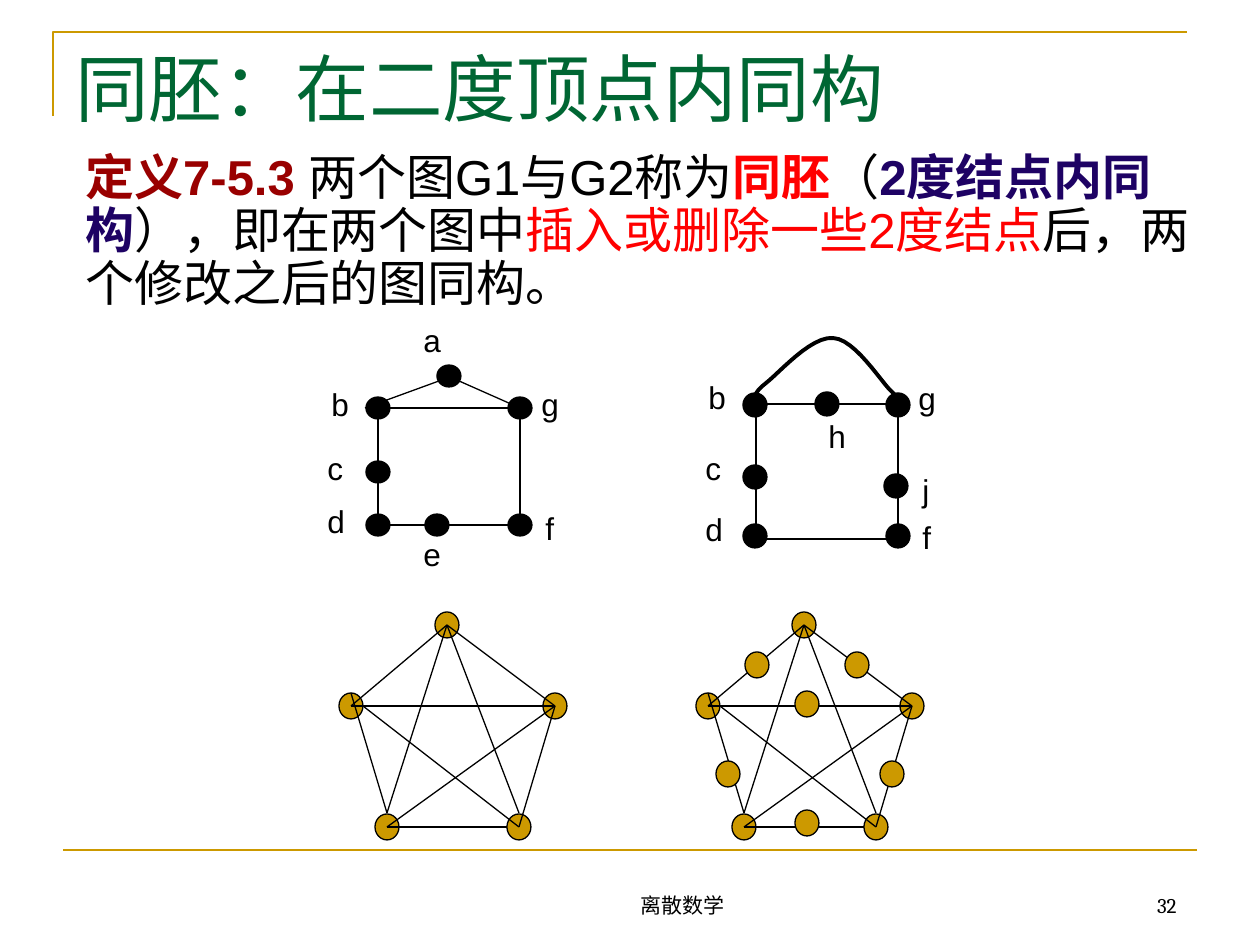
from lxml.etree import SubElement
from pptx import Presentation
from pptx.dml.color import RGBColor
from pptx.enum.lang import MSO_LANGUAGE_ID as Language
from pptx.enum.shapes import MSO_CONNECTOR as Connector, MSO_SHAPE as Shape
from pptx.enum.text import MSO_ANCHOR as Anchor, PP_ALIGN as Align
from pptx.oxml.ns import qn
from pptx.util import Emu, Pt

PX = 914400 / 126
GOLD = RGBColor(0xCC, 0x99, 0x00)
GREEN = RGBColor(0x00, 0x66, 0x33)
MAROON = RGBColor(0x99, 0x00, 0x00)
RED = RGBColor(0xFF, 0x00, 0x00)
NAVY = RGBColor(0x1E, 0x02, 0x64)
BLACK = RGBColor(0x00, 0x00, 0x00)

DEFINITION = [
    ("定义7-5.3 ", MAROON, True),
    ("两个图G1与G2称为", BLACK, False),
    ("同胚", RED, True),
    ("（", BLACK, False),
    ("2度结点内同构", NAVY, True),
    ("），即在两个图中", BLACK, False),
    ("插入或删除一些2度结点", RED, False),
    ("后，两个修改之后的图同构。", BLACK, False),
]

HOUSE_NODES = [(449, 376), (378, 408), (378, 472), (378, 525),
               (437, 525), (520, 525), (520, 408)]
HOUSE_EDGES = [(450, 377, 365, 408), (520, 525, 520, 408), (378, 408, 378, 525),
               (378, 525, 520, 525), (450, 377, 520, 408), (378, 408, 509, 408)]
HOUSE_LABELS = {"a": (411, 315), "b": (319, 379), "c": (315, 443), "d": (315, 496),
                "e": (411, 529), "f": (533, 503), "g": (529, 379)}

ARCH_NODES = [(755, 405), (755, 477), (755, 536), (898, 536),
              (898, 405), (827, 404), (896, 486)]
ARCH_EDGES = [(898, 536, 898, 404), (756, 404, 756, 536),
              (757, 539, 900, 539), (756, 404, 886, 404)]
ARCH_LABELS = {"b": (696, 372), "c": (693, 443), "d": (693, 504), "f": (910, 512),
               "g": (906, 373), "h": (816, 411), "j": (910, 465)}
ARCH_CURVE = [(757, 402), (755, 398), (752, 394), (766, 383), (779, 373),
              (811, 336), (833, 338), (855, 339), (881, 382), (892, 392),
              (903, 403), (902, 402), (901, 402)]

STAR_NODES = [(447, 625), (351, 706), (555, 706), (387, 827), (519, 827)]
STAR_EDGES = [(447, 625, 351, 706), (447, 625, 555, 706), (351, 693, 387, 813),
              (555, 706, 519, 827), (387, 827, 507, 827), (351, 706, 555, 706),
              (447, 625, 387, 813), (447, 625, 519, 813), (363, 706, 519, 827),
              (555, 706, 387, 827)]
STAR_SHIFT = 357
INSERTED_NODES = [(757, 665), (857, 665), (807, 704), (728, 774), (807, 823), (892, 774)]


def px(value):
    return Emu(round(value * PX))


def add_text(shapes, bounds, spans, size, font, anchor=Anchor.TOP, align=Align.LEFT):
    box = shapes.add_textbox(*map(px, bounds))
    frame = box.text_frame
    frame.word_wrap = True
    frame.vertical_anchor = anchor
    para = frame.paragraphs[0]
    para.alignment = align
    for text, color, bold in spans:
        span = para.add_run()
        span.text = text
        span.font.size = Pt(size)
        span.font.name = font
        span.font.bold = bold
        span.font.color.rgb = color
        span.font.language_id = Language.SIMPLIFIED_CHINESE
    return para


def add_line(shapes, ends, color=BLACK, width=0.75):
    line = shapes.add_connector(Connector.STRAIGHT, *map(px, ends))
    line.line.color.rgb = color
    line.line.width = Pt(width)
    SubElement(line._element.spPr, qn("a:effectLst"))


def add_outline(shapes, points, color, width):
    points = [(px(x), px(y)) for x, y in points]
    builder = shapes.build_freeform(*points[0])
    builder.add_line_segments(points[1:], close=False)
    outline = builder.convert_to_shape()
    outline.shadow.inherit = False
    outline.fill.background()
    outline.line.color.rgb = color
    outline.line.width = Pt(width)


def add_nodes(shapes, centers, height, color):
    for x, y in centers:
        node = shapes.add_shape(Shape.OVAL, px(x - 12), px(y - height / 2), px(24), px(height))
        node.shadow.inherit = False
        node.fill.solid()
        node.fill.fore_color.rgb = color
        node.line.color.rgb = BLACK
        node.line.width = Pt(0.75)


def add_graph(page, nodes, edges, labels, height, color):
    shapes = page.shapes.add_group_shape().shapes
    add_nodes(shapes, nodes, height, color)
    for name, (x, y) in labels.items():
        add_text(shapes, (x, y, 50, 50), [(name, BLACK, False)], 18, "Arial")
    for ends in edges:
        add_line(shapes, ends)
    return shapes


def curve_points(controls, steps=12):
    points = [controls[0]]
    for start in range(0, len(controls) - 1, 3):
        piece = controls[start:start + 4]
        for step in range(1, steps + 1):
            t = step / steps
            weights = ((1 - t) ** 3, 3 * t * (1 - t) ** 2, 3 * t ** 2 * (1 - t), t ** 3)
            points.append(tuple(sum(w * point[axis] for w, point in zip(weights, piece))
                                for axis in (0, 1)))
    return points


def main():
    deck = Presentation()
    deck.slide_width, deck.slide_height = px(1260), px(945)
    page = deck.slides.add_slide(deck.slide_layouts[6])
    shapes = page.shapes

    add_outline(shapes, [(53, 116), (53, 32), (1187, 32)], GOLD, 1.5)
    add_line(shapes, (63, 850, 1197, 850), GOLD, 1.5)
    add_text(shapes, (63, 38, 1134, 98), [("同胚：在二度顶点内同构", GREEN, False)],
             42, "Cambria", Anchor.MIDDLE)
    body = add_text(shapes, (73, 147, 1144, 159), DEFINITION, 28, "Arial")
    body.line_spacing = 0.9

    add_graph(page, HOUSE_NODES, HOUSE_EDGES, HOUSE_LABELS, 22, BLACK)
    arch = add_graph(page, ARCH_NODES, ARCH_EDGES, ARCH_LABELS, 24, BLACK)
    add_outline(arch, curve_points(ARCH_CURVE), BLACK, 2.25)

    add_graph(page, STAR_NODES, STAR_EDGES, {}, 26, GOLD)
    shifted_nodes = [(x + STAR_SHIFT, y) for x, y in STAR_NODES]
    shifted_edges = [(x1 + STAR_SHIFT, y1, x2 + STAR_SHIFT, y2)
                     for x1, y1, x2, y2 in STAR_EDGES]
    star = add_graph(page, shifted_nodes, shifted_edges, {}, 26, GOLD)
    add_nodes(star, INSERTED_NODES, 26, GOLD)

    add_text(shapes, (483, 861, 399, 63), [("离散数学", BLACK, False)],
             12, "Cambria", Anchor.BOTTOM, Align.CENTER)
    add_text(shapes, (1050, 861, 139, 63), [("32", BLACK, False)],
             12, "Cambria", Anchor.BOTTOM, Align.RIGHT)
    deck.save("out.pptx")


if __name__ == "__main__":
    main()
